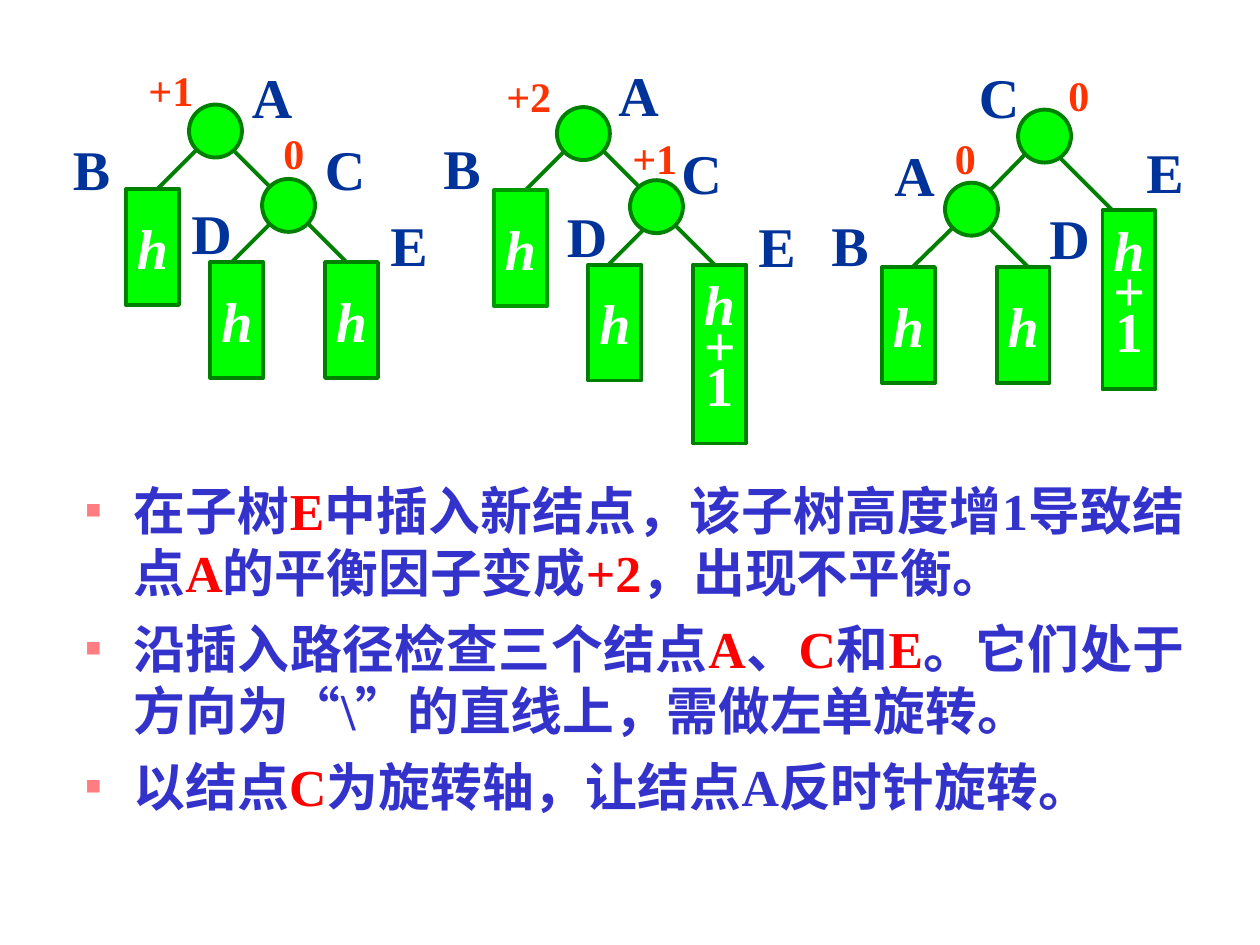
from lxml import etree
from pptx import Presentation, util as u
from pptx.dml.color import RGBColor
from pptx.enum import shapes as sh, text as tx
from pptx.oxml.ns import qn

FACE = "Times New Roman"
GREEN, EDGE, PALE = "00FF00", "008000", "009900"
NAVY, ORANGE, BLUE, RED = "003399", "FF3300", "3333CC", "FF0000"
SIDE = 0.42
WIDTHS = {"B": 0.49, "E": 0.49, "0": 0.38, "+1": 0.6, "+2": 0.6}

# Each tree: edges (x1, y1, x2, y2), nodes (x, y), subtrees (x, y, text[, outline]),
# names and balance factors (text, x, y)
TREES = [
    dict(
        edges=[(1.83, 1.17, 2.33, 1.67), (2.42, 1.75, 2.92, 2.25),
               (1.58, 1.17, 1.17, 1.58), (2.17, 1.75, 1.75, 2.17)],
        nodes=[(1.5, 0.83), (2.08, 1.42)],
        subs=[(1, 1.5, "h"), (1.67, 2.08, "h"), (2.58, 2.08, "h")],
        names=[("A", 1.9, 0.45), ("C", 2.48, 1.02), ("E", 3, 1.62),
               ("B", 0.48, 1.02), ("D", 1.42, 1.53)],
        factors=[("+1", 1.08, 0.46), ("0", 2.15, 0.96)],
    ),
    dict(
        edges=[(5.25, 1.68, 5.75, 2.18), (5.25, 1.68, 4.83, 2.1),
               (4.5, 1.18, 4.08, 1.6), (4.67, 1.08, 5.17, 1.58)],
        nodes=[(5, 1.43), (4.42, 0.85)],
        subs=[(4.67, 2.1, "h"), (3.92, 1.51, "h", PALE), (5.5, 2.1, "h+1")],
        names=[("B", 3.42, 1.01), ("A", 4.81, 0.43), ("C", 5.31, 1.05),
               ("E", 5.92, 1.63), ("D", 4.4, 1.55)],
        factors=[("+2", 3.92, 0.51), ("+1", 4.92, 1)],
    ),
    dict(
        edges=[(7.58, 1.79, 7.16, 2.2), (7.83, 1.79, 8.33, 2.29),
               (8.33, 1.17, 8.83, 1.67), (8.16, 1.2, 7.75, 1.62)],
        nodes=[(7.5, 1.45), (8.08, 0.87)],
        subs=[(7, 2.12, "h"), (7.91, 2.12, "h"), (8.75, 1.67, "h+1")],
        names=[("C", 7.67, 0.45), ("E", 9, 1.04), ("A", 7, 1.07),
               ("B", 6.5, 1.62), ("D", 8.23, 1.57)],
        factors=[("0", 7.48, 1), ("0", 8.38, 0.5)],
    ),
]

# Text between bars is red
NOTES = [
    "在子树|E|中插入新结点，该子树高度增1导致结点|A|的平衡因子变成|+2|，出现不平衡。",
    "沿插入路径检查三个结点|A|、|C|和|E|。它们处于方向为“\\”的直线上，需做左单旋转。",
    "以结点|C|为旋转轴，让结点A反时针旋转。",
]


def rgb(code):
    return RGBColor.from_string(code)


def assign(obj, **vals):
    for key, val in vals.items():
        setattr(obj, key, val)


def write(para, words, size, color, **vals):
    run = para.add_run()
    run.text = words
    assign(run.font, name=FACE, size=u.Pt(size), bold=True, **vals)
    run.font.color.rgb = rgb(color)
    return run


def stroke(line, color=EDGE):
    line.color.rgb = rgb(color)
    line.width = u.Pt(2.25)


def add_edge(slide, ends):
    edge = slide.shapes.add_connector(
        sh.MSO_CONNECTOR.STRAIGHT, *map(u.Inches, ends))
    stroke(edge.line)
    etree.SubElement(edge._element.spPr, qn("a:effectLst"))


def add_solid(slide, kind, x, y, high, color=EDGE):
    solid = slide.shapes.add_shape(kind, *map(u.Inches, (x, y, SIDE, high)))
    solid.shadow.inherit = False
    solid.fill.solid()
    solid.fill.fore_color.rgb = rgb(GREEN)
    stroke(solid.line, color)
    return solid


def add_sub(slide, x, y, words, color=EDGE):
    """Draw a subtree box with its height, one symbol a line."""
    tall = len(words) > 1
    box = add_solid(slide, sh.MSO_SHAPE.RECTANGLE, x, y,
                    1.42 if tall else 0.92, color)
    frame = box.text_frame
    assign(frame, word_wrap=False, vertical_anchor=tx.MSO_ANCHOR.MIDDLE)
    for i, sign in enumerate(words):
        para = frame.add_paragraph() if i else frame.paragraphs[0]
        para.alignment = tx.PP_ALIGN.CENTER
        if tall:
            para.line_spacing = 0.6
        write(para, sign, 32, "FFFFFF", italic=sign != "1")


def add_label(slide, words, x, y, size, color):
    high = 0.64 if size == 32 else 0.5
    box = slide.shapes.add_textbox(
        *map(u.Inches, (x, y, WIDTHS.get(words, 0.52), high)))
    assign(box.text_frame, word_wrap=False,
           auto_size=tx.MSO_AUTO_SIZE.SHAPE_TO_FIT_TEXT)
    write(box.text_frame.paragraphs[0], words, size, color)


def add_tree(slide, tree):
    for ends in tree["edges"]:
        add_edge(slide, ends)
    for x, y in tree["nodes"]:
        add_solid(slide, sh.MSO_SHAPE.OVAL, x, y, SIDE)
    for sub in tree["subs"]:
        add_sub(slide, *sub)
    for label in tree["names"]:
        add_label(slide, *label, 32, NAVY)
    for label in tree["factors"]:
        add_label(slide, *label, 24, ORANGE)


def add_bullet(para):
    props = para._p.get_or_add_pPr()
    props.set("marL", str(u.Inches(0.38)))
    props.set("indent", str(u.Inches(-0.38)))
    tint = etree.SubElement(props, qn("a:buClr"))
    etree.SubElement(tint, qn("a:srgbClr"), val="FF7C80")
    etree.SubElement(props, qn("a:buSzPct"), val="50000")
    etree.SubElement(props, qn("a:buFont"), typeface=FACE)
    etree.SubElement(props, qn("a:buChar"), char="■")


def fill_notes(body):
    assign(body, left=u.Inches(0.58), top=u.Inches(3.75),
           width=u.Inches(8.92), height=u.Inches(3))
    frame = body.text_frame
    assign(frame, word_wrap=True, auto_size=tx.MSO_AUTO_SIZE.NONE)
    for i, note in enumerate(NOTES):
        para = frame.add_paragraph() if i else frame.paragraphs[0]
        add_bullet(para)
        assign(para, alignment=tx.PP_ALIGN.JUSTIFY, line_spacing=u.Pt(35.5),
               space_before=u.Pt(8 if i else 0))
        for j, part in enumerate(note.split("|")):
            run = write(para, part, 29.6, RED if j % 2 else BLUE)
            run.font._element.set("lang", "zh-CN")


def main():
    deck = Presentation()
    assign(deck, slide_width=u.Inches(10), slide_height=u.Inches(7.5))
    slide = deck.slides.add_slide(deck.slide_layouts[1])
    title = slide.shapes.title._element
    title.getparent().remove(title)
    for tree in TREES:
        add_tree(slide, tree)
    fill_notes(slide.placeholders[1])
    deck.save("out.pptx")


if __name__ == "__main__":
    main()
